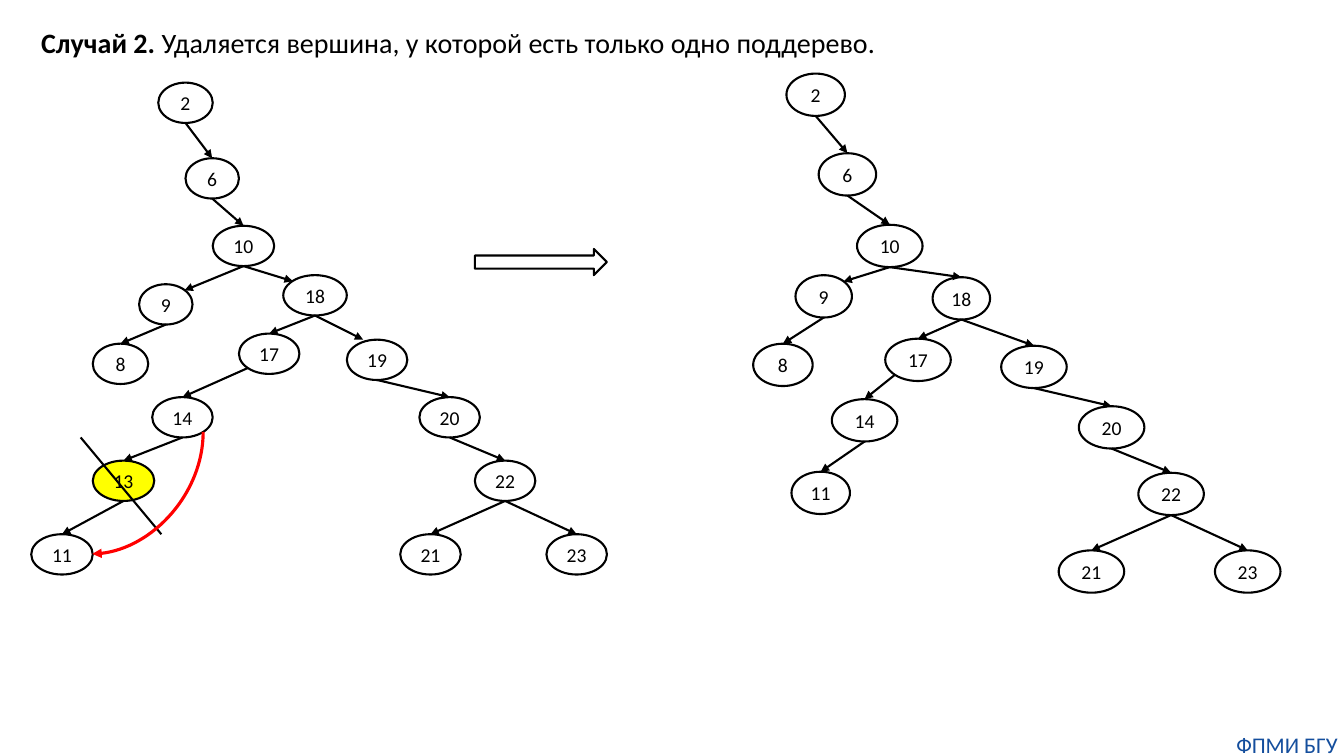
from dataclasses import dataclass

from lxml.etree import SubElement
from pptx import Presentation
from pptx.dml.color import RGBColor
from pptx.enum.shapes import MSO_CONNECTOR, MSO_SHAPE
from pptx.enum.text import MSO_ANCHOR, PP_ALIGN
from pptx.oxml.ns import qn
from pptx.util import Inches, Pt


@dataclass(frozen=True)
class Theme:
    font: str = "Calibri"
    ink: RGBColor = RGBColor(0, 0, 0)
    removed: RGBColor = RGBColor(0xFF, 0xFF, 0)
    relink: RGBColor = RGBColor(0xFF, 0, 0)
    footer: RGBColor = RGBColor(0x14, 0x4E, 0x9D)
    title_size: Pt = Pt(20)
    node_size: Pt = Pt(14)
    footer_size: Pt = Pt(16)
    thin: Pt = Pt(1.5)
    thick: Pt = Pt(2.25)


theme = Theme()
deck = Presentation()
deck.slide_width = Inches(13.33)
deck.slide_height = Inches(7.5)
page = deck.slides.add_slide(deck.slide_layouts[6])


def add_link(start, end, kind=MSO_CONNECTOR.STRAIGHT, color=theme.ink, width=theme.thin, arrow=True):
    link = page.shapes.add_connector(kind, *map(Inches, start + end))
    link.line.color.rgb = color
    link.line.width = width
    properties = link.element.spPr
    if arrow:
        SubElement(properties.find(qn("a:ln")), qn("a:tailEnd"), type="triangle")
    SubElement(properties, qn("a:effectLst"))
    return link


def set_font(para, size, color, align):
    para.alignment = align
    para.font.name = theme.font
    para.font.size = size
    para.font.color.rgb = color


TOP, BOTTOM = (0.5, 0), (0.5, 1)
TOP_LEFT, TOP_RIGHT, BOTTOM_LEFT = (0.15, 0.15), (0.85, 0.15), (0.15, 0.85)

before = {
    2: (1.57, 0.82, 0.54), 6: (1.84, 1.57, 0.53), 10: (2.11, 2.24, 0.61),
    9: (1.38, 2.82, 0.53), 8: (0.92, 3.41, 0.55), 18: (2.81, 2.73, 0.63),
    17: (2.37, 3.31, 0.6), 14: (1.51, 3.94, 0.6), 13: (0.92, 4.57, 0.61),
    11: (0.31, 5.3, 0.61), 19: (3.44, 3.37, 0.6), 20: (4.16, 3.94, 0.6),
    22: (4.71, 4.57, 0.6), 21: (3.97, 5.3, 0.6), 23: (5.42, 5.3, 0.6),
}
after = {
    2: (7.8, 0.73, 0.58), 6: (8.12, 1.52, 0.57), 10: (8.5, 2.23, 0.65),
    9: (7.89, 2.73, 0.56), 8: (7.47, 3.41, 0.59), 18: (9.25, 2.75, 0.57),
    17: (8.78, 3.36, 0.65), 14: (8.25, 3.96, 0.65), 11: (7.85, 4.68, 0.58),
    19: (9.93, 3.43, 0.65), 20: (10.7, 4.03, 0.65), 22: (11.29, 4.69, 0.65),
    21: (10.5, 5.46, 0.65), 23: (12.05, 5.46, 0.65),
}
shared_edges = [(2, 6), (6, 10), (10, 9), (9, 8), (10, 18), (18, 17), (17, 14),
                (18, 19), (19, 20), (20, 22), (22, 21), (22, 23)]
start_sites = {(17, 14): BOTTOM_LEFT}
before_sites = {(10, 9): TOP_RIGHT, (10, 18): TOP_LEFT, (18, 19): (0.27, 0)}
after_sites = {(10, 9): TOP_RIGHT}

trees = [
    (before, 0.4, shared_edges + [(14, 13), (13, 11)], before_sites),
    (after, 0.42, shared_edges + [(14, 11)], after_sites),
]
for nodes, height, edges, end_sites in trees:
    for key, (left, top, width) in nodes.items():
        node = page.shapes.add_shape(MSO_SHAPE.OVAL, *map(Inches, (left, top, width, height)))
        node.shadow.inherit = False
        if key == 13:
            node.fill.solid()
            node.fill.fore_color.rgb = theme.removed
        else:
            node.fill.background()
        node.line.color.rgb = theme.ink
        node.line.width = theme.thin
        frame = node.text_frame
        frame.word_wrap = False
        frame.vertical_anchor = MSO_ANCHOR.MIDDLE
        frame.margin_left = frame.margin_right = frame.margin_top = frame.margin_bottom = 0
        frame.text = str(key)
        set_font(frame.paragraphs[0], theme.node_size, theme.ink, PP_ALIGN.CENTER)
    for edge in edges:
        sites = start_sites.get(edge, BOTTOM), end_sites.get(edge, TOP)
        start, end = [
            (nodes[key][0] + across * nodes[key][2], nodes[key][1] + down * height)
            for key, (across, down) in zip(edge, sites)
        ]
        add_link(start, end)

step = page.shapes.add_shape(MSO_SHAPE.RIGHT_ARROW, Inches(4.71), Inches(2.47), Inches(1.31), Inches(0.26))
step.shadow.inherit = False
step.fill.background()
step.line.color.rgb = theme.ink
step.line.width = theme.thin

add_link((0.8, 4.34), (1.6, 5.3), arrow=False)

footer = page.shapes.add_textbox(Inches(12.2), Inches(7.25), Inches(1.13), Inches(0.27))
frame = footer.text_frame
frame.word_wrap = True
frame.margin_left = frame.margin_right = frame.margin_top = frame.margin_bottom = 0
frame.text = "ФПМИ БГУ"
set_font(frame.paragraphs[0], theme.footer_size, theme.footer, PP_ALIGN.CENTER)

title = page.shapes.add_textbox(Inches(0.31), Inches(0.2), Inches(9.62), Inches(0.44))
title.text_frame.word_wrap = True
para = title.text_frame.paragraphs[0]
set_font(para, theme.title_size, theme.ink, PP_ALIGN.JUSTIFY)
for text, bold in [("Случай 2.", True), (" Удаляется вершина, у которой есть только одно поддерево.", False)]:
    span = para.add_run()
    span.text = text
    span.font.bold = bold

relink = add_link((0.86, 4.34), (2.07, 5.44), MSO_CONNECTOR.CURVE, theme.relink, theme.thick)
relink.element.spPr.find(qn("a:xfrm")).set("rot", "5400000")
relink.element.spPr.find(qn("a:prstGeom")).set("prst", "curvedConnector2")

deck.save("out.pptx")
